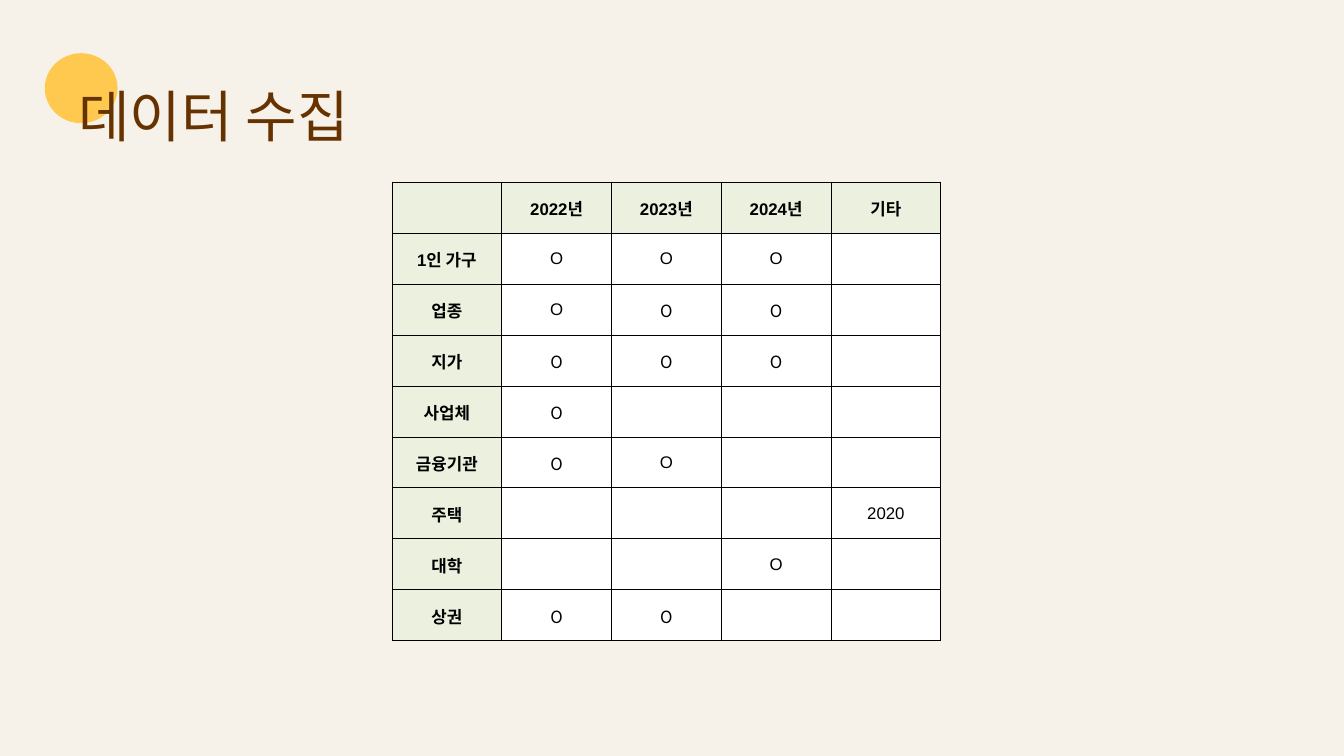
from dataclasses import dataclass

from lxml import etree
from pptx import Presentation
from pptx.dml.color import RGBColor
from pptx.enum.shapes import MSO_SHAPE
from pptx.enum.text import MSO_ANCHOR, MSO_AUTO_SIZE, PP_ALIGN
from pptx.oxml.ns import qn
from pptx.util import Pt

OVAL = MSO_SHAPE.OVAL
TOP, MIDDLE = MSO_ANCHOR.TOP, MSO_ANCHOR.MIDDLE
LEFT, CENTER = PP_ALIGN.LEFT, PP_ALIGN.CENTER
GROW = MSO_AUTO_SIZE.SHAPE_TO_FIT_TEXT

CREAM = RGBColor(0xF6, 0xF2, 0xEA)
YELLOW = RGBColor(0xFF, 0xC9, 0x50)
BROWN = RGBColor(0x66, 0x33, 0x00)
GREEN = RGBColor(0xEB, 0xF1, 0xDE)
WHITE = RGBColor(0xFF, 0xFF, 0xFF)
BLACK = RGBColor(0x00, 0x00, 0x00)

SANS = "Arial"
KOREAN = "Noto Sans CJK KR"
COLUMN_WIDTH = 117.6
ROW_HEIGHT = 54.65


@dataclass(frozen=True)
class Row:
    label: str
    values: tuple[str, str, str, str]
    korean_columns: tuple[int, ...] = ()


HEADER = Row("", ("2022년", "2023년", "2024년", "기타"))
ROWS = [
    HEADER,
    Row("1인 가구", ("O", "O", "O", "")),
    Row("업종", ("O", "O", "O", ""), (2, 3)),
    Row("지가", ("O", "O", "O", ""), (1, 2, 3)),
    Row("사업체", ("O", "", "", ""), (1,)),
    Row("금융기관", ("O", "O", "", ""), (1,)),
    Row("주택", ("", "", "", "2020")),
    Row("대학", ("", "", "O", "")),
    Row("상권", ("O", "O", "", ""), (1, 2)),
]


def set_attributes(target, values: dict) -> None:
    for name, value in values.items():
        setattr(target, name, value)


def write_text(paragraph, text: str, color: RGBColor, **font_values) -> None:
    span = paragraph.add_run()
    span.text = text
    set_attributes(span.font, font_values)
    span.font.color.rgb = color
    east_asian = etree.SubElement(span.font._element, qn("a:ea"))
    east_asian.set("typeface", KOREAN)


def add_borders(cell, color: RGBColor) -> None:
    properties = cell._tc.get_or_add_tcPr()
    for side in ("L", "R", "T", "B"):
        line = etree.SubElement(properties, qn(f"a:ln{side}"), w=str(Pt(1)))
        fill = etree.SubElement(line, qn("a:solidFill"))
        etree.SubElement(fill, qn("a:srgbClr"), val=str(color))


def format_cell(cell, text: str, font_name: str, heading: bool) -> None:
    add_borders(cell, BLACK)
    cell.fill.solid()
    cell.fill.fore_color.rgb = GREEN if heading else WHITE
    set_attributes(cell, {
        "vertical_anchor": MIDDLE,
        "margin_left": Pt(0.72),
        "margin_right": Pt(0.72),
        "margin_top": Pt(0.72),
        "margin_bottom": Pt(0),
    })
    if text:
        paragraph = cell.text_frame.paragraphs[0]
        paragraph.alignment = CENTER
        write_text(paragraph, text, BLACK, name=font_name, size=Pt(18), bold=heading)


def add_collection_table(page, rows: list[Row]) -> None:
    column_count = len(HEADER.values) + 1
    table = page.shapes.add_table(
        len(rows), column_count, Pt(420), Pt(195),
        Pt(COLUMN_WIDTH * column_count), Pt(ROW_HEIGHT * len(rows)),
    ).table
    set_attributes(table, {"first_row": False, "horz_banding": False})
    for column in table.columns:
        column.width = Pt(COLUMN_WIDTH)
    for row_index, row in enumerate(rows):
        table.rows[row_index].height = Pt(ROW_HEIGHT)
        for column_index, text in enumerate((row.label, *row.values)):
            font_name = KOREAN if column_index in row.korean_columns else SANS
            heading = row is HEADER or column_index == 0
            format_cell(table.cell(row_index, column_index), text, font_name, heading)


def add_title(page, text: str) -> None:
    title = page.shapes.title
    set_attributes(title, {
        "left": Pt(84), "top": Pt(71.5), "width": Pt(567), "height": Pt(81),
    })
    set_attributes(title.text_frame, {
        "margin_left": 0, "margin_right": 0, "margin_top": 0, "margin_bottom": 0,
        "vertical_anchor": TOP, "word_wrap": True, "auto_size": GROW,
    })
    paragraph = title.text_frame.paragraphs[0]
    set_attributes(paragraph, {
        "alignment": LEFT, "line_spacing": Pt(87.8), "space_before": Pt(0),
    })
    write_text(paragraph, text, BROWN, name=KOREAN, size=Pt(60))


def add_title_circle(page) -> None:
    circle = page.shapes.add_shape(OVAL, Pt(48), Pt(57), Pt(78), Pt(75))
    circle.shadow.inherit = False
    circle.fill.solid()
    circle.fill.fore_color.rgb = YELLOW
    circle.line.fill.background()
    page.shapes.title._element.addprevious(circle._element)


def main() -> None:
    deck = Presentation()
    set_attributes(deck, {"slide_width": Pt(1440), "slide_height": Pt(810)})
    page = deck.slides.add_slide(deck.slide_layouts.get_by_name("Title Only"))
    page.background.fill.solid()
    page.background.fill.fore_color.rgb = CREAM
    add_title(page, "데이터 수집")
    add_title_circle(page)
    add_collection_table(page, ROWS)
    deck.save("out.pptx")


if __name__ == "__main__":
    main()
